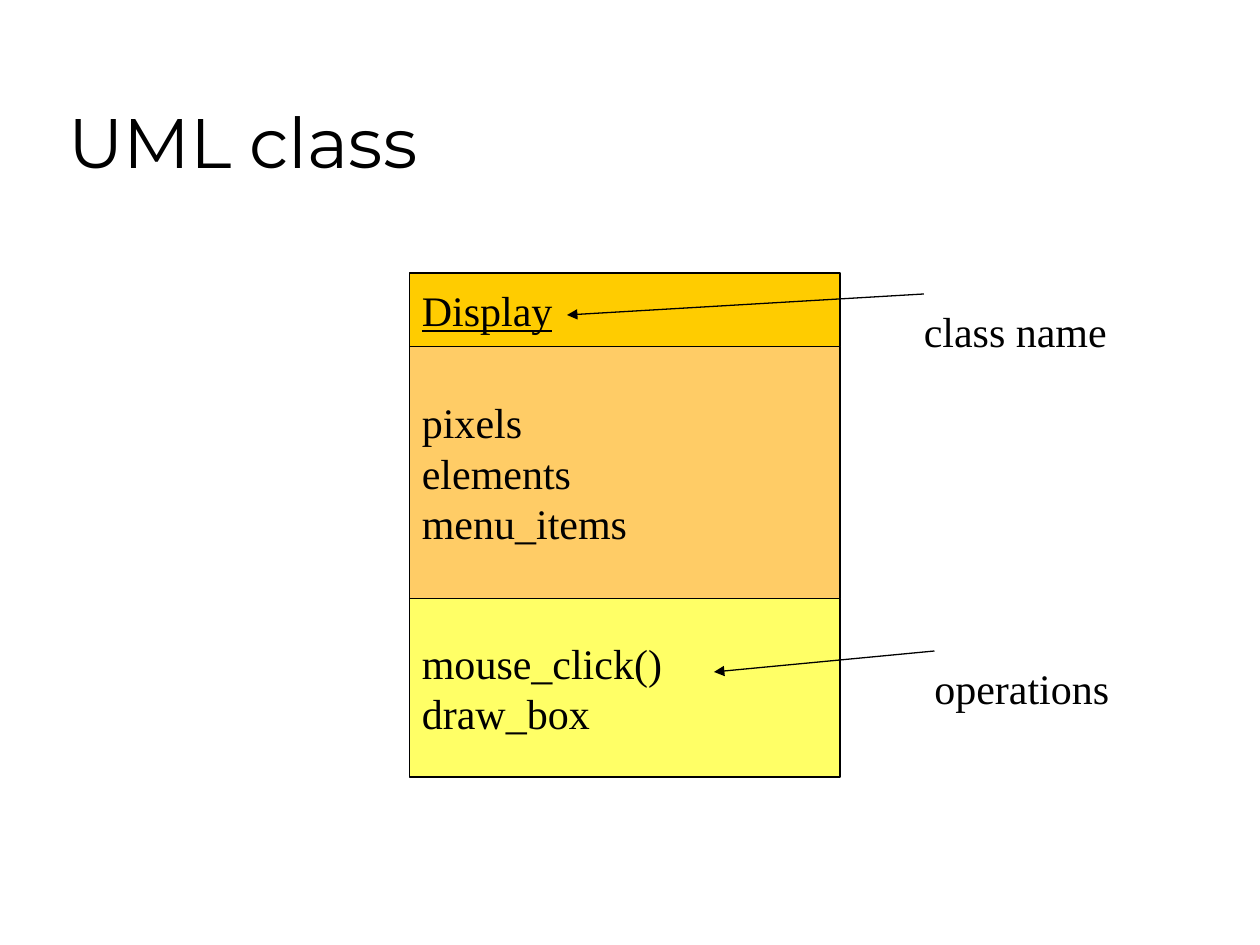
from dataclasses import dataclass

from lxml.etree import SubElement
from pptx import Presentation
from pptx.dml.color import RGBColor
from pptx.enum.shapes import MSO_CONNECTOR as CONN, MSO_SHAPE as SHAPE
from pptx.enum.text import MSO_ANCHOR as ANCHOR, MSO_AUTO_SIZE as FIT, PP_ALIGN as ALIGN
from pptx.oxml.ns import qn
from pptx.util import Pt

BLACK = "000000"
SERIF = "Times New Roman"
CLASS_LEFT, CLASS_TOP, CLASS_WIDTH = 234, 156, 246


@dataclass
class Compartment:
    height: float
    fill: str
    lines: list[str]
    underline: bool = False


@dataclass
class Callout:
    text: str
    width: float
    start: tuple[float, float]
    end: tuple[float, float]


COMPARTMENTS = [
    Compartment(42, "FFCC00", ["Display"], underline=True),
    Compartment(144, "FFCC66", ["pixels", "elements", "menu_items"]),
    Compartment(102, "FFFF66", ["mouse_click()", "draw_box"]),
]
CALLOUTS = [
    Callout("operations", 114.5, (534, 372), (408, 384)),
    Callout("class name", 119, (528, 168), (324, 180)),
]


def color(value: str) -> RGBColor:
    return RGBColor.from_string(value)


def write(tf, lines: list[str], size: float = 24, font: str = SERIF,
          underline: bool = False, spacing: float | None = 28.8) -> None:
    for i, line in enumerate(lines):
        p = tf.add_paragraph() if i else tf.paragraphs[0]
        p.alignment = ALIGN.LEFT
        if spacing:
            p.line_spacing = Pt(spacing)
        r = p.add_run()
        r.text = line
        r.font.size = Pt(size)
        r.font.name = font
        r.font.color.rgb = color(BLACK)
        if underline:
            r.font.underline = True


def add_title(s, text: str) -> None:
    tf = s.shapes.add_textbox(Pt(32), Pt(18), Pt(612), Pt(90)).text_frame
    tf.word_wrap = True
    tf.vertical_anchor = ANCHOR.BOTTOM
    write(tf, [text], size=40, font="Montserrat", spacing=None)


def add_compartment(s, item: Compartment, top: float) -> None:
    sp = s.shapes.add_shape(SHAPE.RECTANGLE, Pt(CLASS_LEFT), Pt(top),
                            Pt(CLASS_WIDTH), Pt(item.height))
    sp.shadow.inherit = False
    sp.fill.solid()
    sp.fill.fore_color.rgb = color(item.fill)
    sp.line.color.rgb = color(BLACK)
    sp.line.width = Pt(0.75)
    tf = sp.text_frame
    tf.word_wrap = True
    tf.vertical_anchor = ANCHOR.MIDDLE
    write(tf, item.lines, underline=item.underline)


def add_callout(s, item: Callout) -> None:
    x, y = item.start
    cx = s.shapes.add_connector(CONN.STRAIGHT, Pt(x), Pt(y), *map(Pt, item.end))
    cx.line.color.rgb = color(BLACK)
    cx.line.width = Pt(0.75)
    SubElement(cx.line._get_or_add_ln(), qn("a:tailEnd"), type="triangle")
    SubElement(cx._element.spPr, qn("a:effectLst"))
    tf = s.shapes.add_textbox(Pt(x - 7.2), Pt(y + 3.2), Pt(item.width), Pt(36)).text_frame
    tf.word_wrap = False
    tf.auto_size = FIT.SHAPE_TO_FIT_TEXT
    write(tf, [item.text])


def main() -> None:
    prs = Presentation()
    prs.slide_width, prs.slide_height = Pt(720), Pt(540)
    s = prs.slides.add_slide(prs.slide_layouts[6])
    add_title(s, "UML class")
    top = CLASS_TOP
    for compartment in COMPARTMENTS:
        add_compartment(s, compartment, top)
        top += compartment.height
    for callout in CALLOUTS:
        add_callout(s, callout)
    prs.save("out.pptx")


if __name__ == "__main__":
    main()
